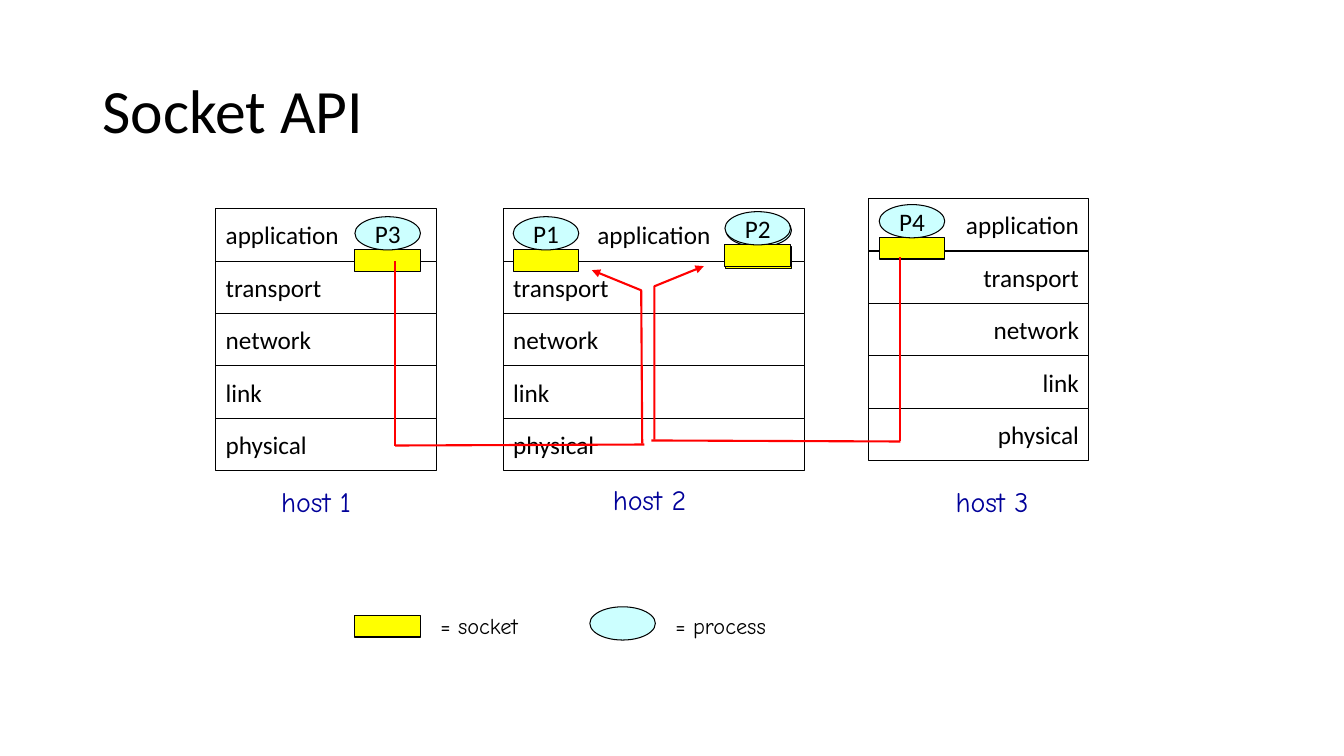
"""Build the Socket API slide: three protocol stacks joined through sockets."""
from dataclasses import dataclass

from lxml import etree
from pptx import Presentation
from pptx.dml.color import RGBColor as Rgb
from pptx.enum.shapes import MSO_CONNECTOR as Connector, MSO_SHAPE as Preset
from pptx.enum.text import MSO_ANCHOR as Anchor, MSO_AUTO_SIZE as AutoSize, PP_ALIGN as Align
from pptx.oxml.ns import qn
from pptx.util import Pt

TITLE = "Socket API"
LAYERS = ["application", "transport", "network", "link", "physical"]
HOSTS = [
    {"at": (214, 207), "width": 219, "aligns": [Align.LEFT] * 5},
    {"at": (499, 207), "width": 299, "aligns": [Align.CENTER] + [Align.LEFT] * 4},
    {"at": (861, 197), "width": 219, "aligns": [Align.RIGHT] * 5},
]
HOST_LABELS = [("host 1", 269, 476, 98), ("host 2", 598, 474, 103), ("host 3", 938, 476, 103)]
PROCESSES = [("P3", 352, 215), ("P1", 509, 215), ("", 720, 212), ("P2", 719, 210), ("P4", 872, 203)]
ROUTES = [
    {"down": [(392, 259), (392, 442)], "across": [(392, 442), (639, 441)],
     "up": [(637, 440), (636, 288), (587, 268)]},
    {"down": [(893, 255), (893, 438)], "across": [(893, 438), (646, 437)],
     "up": [(649, 436), (649, 284), (698, 264)]},
]
LEGEND_LABELS = [("= socket", 427, 602, 106), ("= process", 660, 602, 117)]
LEGEND_SOCKET = (352, 611)
LEGEND_PROCESS = (585, 602)

PX = 9144
ROW_HEIGHT = 52
TOKEN_WIDTH, PROCESS_HEIGHT, SOCKET_HEIGHT = 65, 33, 21


@dataclass(frozen=True)
class Theme:
    body_font: str = "Calibri"
    hand_font: str = "Comic Neue"
    black: str = "000000"
    white: str = "FFFFFF"
    socket: str = "FFFF00"
    process: str = "CCFFFF"
    route: str = "FF0000"
    host: str = "000099"
    title_size: int = 44
    host_size: int = 20
    layer_size: int = 18
    legend_size: int = 16
    outline: float = 0.75
    route_width: float = 1.5


THEME = Theme()
deck = Presentation()
deck.slide_width, deck.slide_height = 1333 * PX, 750 * PX
shapes = deck.slides.add_slide(deck.slide_layouts[6]).shapes


def emu(*lengths):
    return [length * PX for length in lengths]


def write(holder, text, size=THEME.layer_size, font=THEME.body_font, color=THEME.black,
          align=Align.LEFT, anchor=Anchor.MIDDLE, wrap=False, grow=False, spacing=None):
    frame = holder.text_frame
    frame.word_wrap = wrap
    frame.vertical_anchor = anchor
    frame.auto_size = AutoSize.SHAPE_TO_FIT_TEXT if grow else AutoSize.NONE
    paragraph = frame.paragraphs[0]
    paragraph.alignment = align
    paragraph.line_spacing = spacing
    run = paragraph.add_run()
    run.text = text
    run.font.size = Pt(size)
    run.font.name = font
    run.font.color.rgb = Rgb.from_string(color)


def add_block(preset, left, top, width, height, fill, text="", align=Align.CENTER):
    block = shapes.add_shape(preset, *emu(left, top, width, height))
    block.shadow.inherit = False
    block.fill.solid()
    block.fill.fore_color.rgb = Rgb.from_string(fill)
    block.line.color.rgb = Rgb.from_string(THEME.black)
    block.line.width = Pt(THEME.outline)
    if text:
        write(block, text, align=align)


def add_socket(left, top):
    add_block(Preset.RECTANGLE, left, top, TOKEN_WIDTH, SOCKET_HEIGHT, THEME.socket)


def add_process(left, top, name=""):
    add_block(Preset.OVAL, left, top, TOKEN_WIDTH, PROCESS_HEIGHT, THEME.process, name)


def add_label(text, left, top, width, height, **style):
    write(shapes.add_textbox(*emu(left, top, width, height)), text, **style)


def color_route(part):
    part.line.color.rgb = Rgb.from_string(THEME.route)
    part.line.width = Pt(THEME.route_width)


def add_segment(start, end):
    segment = shapes.add_connector(Connector.STRAIGHT, *emu(*start, *end))
    color_route(segment)
    etree.SubElement(segment._element.spPr, qn("a:effectLst"))


def add_arrow(points):
    builder = shapes.build_freeform(*points[0], scale=PX)
    builder.add_line_segments(points[1:], close=False)
    arrow = builder.convert_to_shape()
    arrow.shadow.inherit = False
    arrow.fill.background()
    color_route(arrow)
    etree.SubElement(arrow.line._get_or_add_ln(), qn("a:tailEnd"), type="triangle")


def main():
    add_label(TITLE, 92, 40, 1150, 145, size=THEME.title_size, wrap=True, spacing=0.9)
    for host in HOSTS:
        left, top = host["at"]
        for row, (layer, align) in enumerate(zip(LAYERS, host["aligns"])):
            add_block(Preset.RECTANGLE, left, top + row * ROW_HEIGHT, host["width"], ROW_HEIGHT,
                      THEME.white, layer, align)
    for name, left, top in PROCESSES:
        add_socket(left, top + PROCESS_HEIGHT)
        add_process(left, top, name)
    for route in ROUTES:
        add_segment(*route["down"])
        add_arrow(route["up"])
        add_segment(*route["across"])
    for text, left, top, width in HOST_LABELS:
        add_label(text, left, top, width, 43, size=THEME.host_size, font=THEME.hand_font,
                  color=THEME.host, anchor=Anchor.TOP, grow=True)
    add_socket(*LEGEND_SOCKET)
    add_process(*LEGEND_PROCESS)
    for text, left, top, width in LEGEND_LABELS:
        add_label(text, left, top, width, 37, size=THEME.legend_size, font=THEME.hand_font,
                  anchor=Anchor.TOP, grow=True)
    deck.save("out.pptx")


if __name__ == "__main__":
    main()
